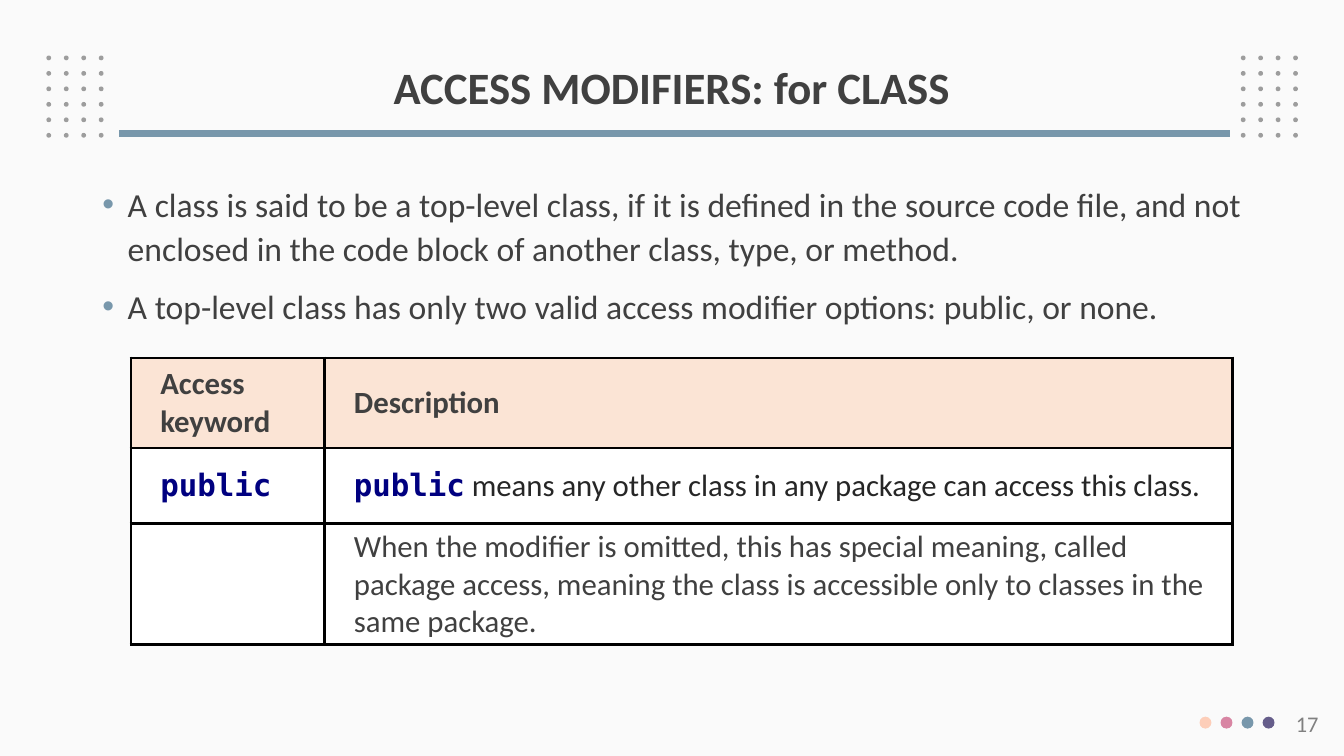
from dataclasses import dataclass

from lxml.etree import SubElement
from pptx import Presentation
from pptx.dml.color import RGBColor
from pptx.enum.shapes import MSO_CONNECTOR, MSO_SHAPE
from pptx.enum.text import MSO_ANCHOR, PP_ALIGN
from pptx.oxml.ns import qn
from pptx.util import Cm, Pt


@dataclass(frozen=True)
class Theme:
    """Colours, fonts and type sizes of the slide."""
    background: str = "FAFAFA"
    text: str = "404040"
    dark_text: str = "262626"
    muted: str = "808080"
    dots: str = "9D9D9D"
    accent: str = "7897AB"
    footer_dots: tuple = ("FDCEB9", "D885A3", "7897AB", "655D8A")
    header_fill: str = "FBE4D5"
    cell_fill: str = "FFFFFF"
    border: str = "000000"
    keyword: str = "000080"
    font: str = "Calibri"
    code_font: str = "DejaVu Sans Mono"
    title_size: int = 32
    body_size: int = 24
    table_size: int = 22
    number_size: int = 16


THEME = Theme()
KEYWORD = dict(bold=True, font=THEME.code_font, color=THEME.keyword)
BULLETS = (
    "A class is said to be a top-level class, if it is defined in the source code file, "
    "and not enclosed in the code block of another class, type, or method.",
    "A top-level class has only two valid access modifier options: public, or none.",
)
ROWS = (
    ([("Access keyword", dict(bold=True))], [("Description", dict(bold=True))]),
    ([("public", KEYWORD)],
     [("public", KEYWORD),
      (" means any other class in any package can access this class.",
       dict(color=THEME.dark_text))]),
    ([],
     [("When the modifier is omitted, this has special meaning, called package access, "
       "meaning the class is accessible only to classes in the same package.", {})]),
)


def write(para, text, size, color=THEME.text, font=THEME.font, bold=False):
    """Add a formatted span of text to a paragraph."""
    span = para.add_run()
    span.text = text
    span.font.size = Pt(size)
    span.font.name = font
    span.font.bold = bold
    span.font.color.rgb = RGBColor.from_string(color)


def place(shape, left, top, width, height):
    """Move and size a shape, in centimetres."""
    shape.left, shape.top = Cm(left), Cm(top)
    shape.width, shape.height = Cm(width), Cm(height)


def add_solid_fill(parent, color):
    """Add a solid fill element to an XML parent."""
    SubElement(SubElement(parent, qn("a:solidFill")), qn("a:srgbClr"), val=color)


def add_dot(group, left, top, diameter, color):
    """Add a plain round dot to a group."""
    dot = group.shapes.add_shape(
        MSO_SHAPE.OVAL, Cm(left), Cm(top), Cm(diameter), Cm(diameter))
    dot.shadow.inherit = False
    dot.fill.solid()
    dot.fill.fore_color.rgb = RGBColor.from_string(color)
    dot.line.fill.background()


def add_dot_grid(page, left, top):
    """Add a group of four by six small dots."""
    group = page.shapes.add_group_shape()
    for row in range(6):
        for column in range(4):
            add_dot(group, left + 0.44 * column, top + 0.39 * row, 0.12, THEME.dots)


def add_footer_dots(page):
    """Add the row of coloured dots beside the page number."""
    group = page.shapes.add_group_shape()
    for index, color in enumerate(THEME.footer_dots):
        add_dot(group, 30.23 + 0.53 * index, 18.06, 0.3, color)


def add_rule(page):
    """Add the thick line under the title."""
    rule = page.shapes.add_connector(
        MSO_CONNECTOR.STRAIGHT, Cm(3), Cm(3.36), Cm(30.99), Cm(3.36))
    rule.line.color.rgb = RGBColor.from_string(THEME.accent)
    rule.line.width = Pt(5.25)
    SubElement(rule._element.spPr, qn("a:effectLst"))


def add_title(page, text):
    """Place and fill the title placeholder."""
    title = page.shapes.title
    place(title, 2.33, 1.02, 29.21, 2.48)
    title.text_frame.word_wrap = True
    title.text_frame.vertical_anchor = MSO_ANCHOR.MIDDLE
    para = title.text_frame.paragraphs[0]
    para.alignment = PP_ALIGN.CENTER
    para.line_spacing = 0.9
    write(para, text, THEME.title_size, bold=True)


def add_text_box(page, left, top, width, height):
    """Add a wrapping text box and return its frame."""
    box = page.shapes.add_textbox(Cm(left), Cm(top), Cm(width), Cm(height))
    box.text_frame.word_wrap = True
    return box.text_frame


def add_bullets(page, items):
    """Add the bulleted body text."""
    frame = add_text_box(page, 2.33, 4.4, 29.21, 6.45)
    for index, item in enumerate(items):
        para = frame.add_paragraph() if index else frame.paragraphs[0]
        properties = para._p.get_or_add_pPr()
        properties.set("marL", str(Cm(0.64)))
        properties.set("indent", str(-Cm(0.64)))
        bullet_color = SubElement(properties, qn("a:buClr"))
        SubElement(bullet_color, qn("a:srgbClr"), val=THEME.accent)
        SubElement(properties, qn("a:buFont"), typeface="Arial")
        SubElement(properties, qn("a:buChar"), char="•")
        para.line_spacing = 1.1
        para.space_before = Pt(10 if index else 0)
        write(para, item, THEME.body_size)


def add_page_number(page, number):
    """Add the page number at the lower right."""
    para = add_text_box(page, 25.86, 17.78, 7.62, 1.02).paragraphs[0]
    para.alignment = PP_ALIGN.RIGHT
    write(para, number, THEME.number_size, color=THEME.muted)


def fill_cell(cell, spans, is_header):
    """Give a table cell its borders, fill and text."""
    properties = cell._tc.get_or_add_tcPr()
    for side in ("lnL", "lnR", "lnT", "lnB"):
        border = SubElement(properties, qn(f"a:{side}"), w=str(Pt(2.25)))
        add_solid_fill(border, THEME.border)
    cell.fill.solid()
    cell.fill.fore_color.rgb = RGBColor.from_string(
        THEME.header_fill if is_header else THEME.cell_fill)
    cell.vertical_anchor = MSO_ANCHOR.MIDDLE
    cell.margin_left = cell.margin_right = Cm(0.23)
    cell.margin_top = cell.margin_bottom = Cm(0.13)
    para = cell.text_frame.paragraphs[0]
    para._p.get_or_add_pPr().set("marL", str(Cm(0.51)))
    para.space_after = Pt(0 if is_header else 10)
    for text, style in spans:
        write(para, text, THEME.table_size, **style)


def add_modifier_table(page, rows):
    """Add the table of access modifiers."""
    widths, heights = (4.88, 22.88), (2.27, 1.9, 3.05)
    table = page.shapes.add_table(
        len(rows), len(widths), Cm(3.3), Cm(9.02), Cm(sum(widths)), Cm(sum(heights))).table
    for column, width in zip(table.columns, widths):
        column.width = Cm(width)
    for row, height in zip(table.rows, heights):
        row.height = Cm(height)
    for row_index, row in enumerate(rows):
        for column_index, spans in enumerate(row):
            fill_cell(table.cell(row_index, column_index), spans, row_index == 0)


def main():
    """Build the slide and save the deck."""
    deck = Presentation()
    deck.slide_width, deck.slide_height = Cm(33.87), Cm(19.05)
    page = deck.slides.add_slide(deck.slide_layouts[5])
    page.background.fill.solid()
    page.background.fill.fore_color.rgb = RGBColor.from_string(THEME.background)
    for left in (1.17, 31.27):
        add_dot_grid(page, left, 1.4)
    add_rule(page)
    add_footer_dots(page)
    add_title(page, "ACCESS MODIFIERS: for CLASS")
    add_bullets(page, BULLETS)
    add_page_number(page, "17")
    add_modifier_table(page, ROWS)
    deck.save("out.pptx")


if __name__ == "__main__":
    main()
